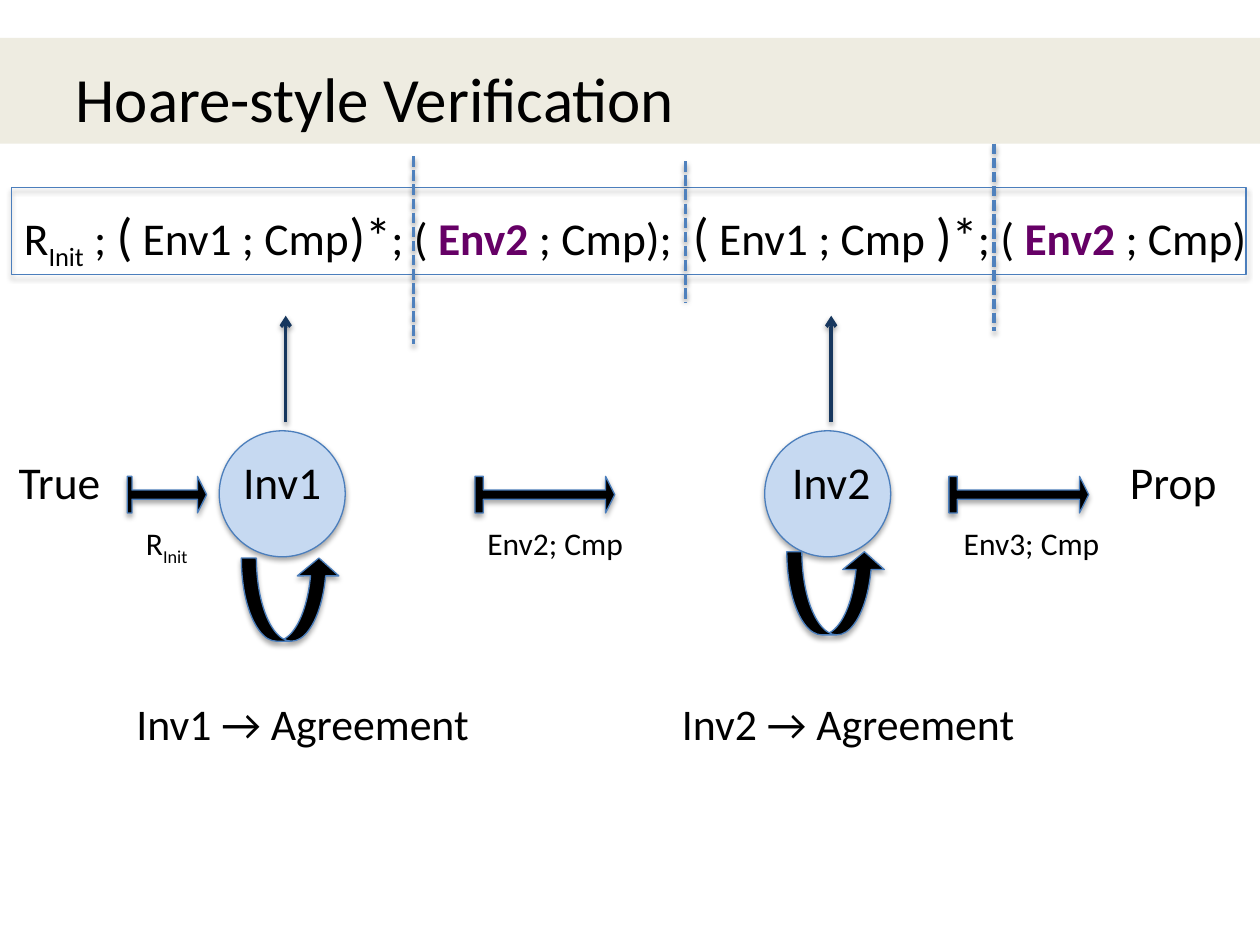
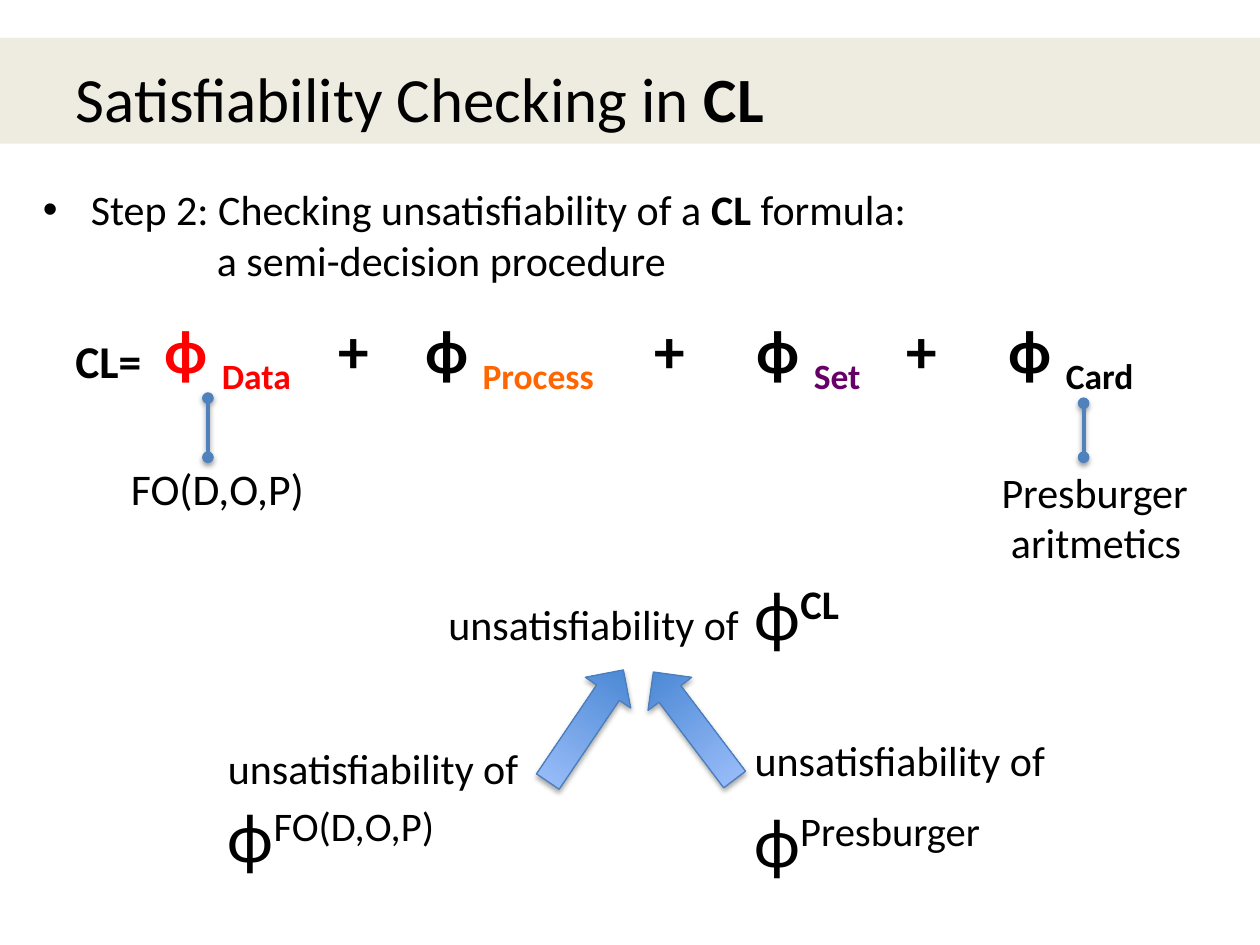
from lxml import etree
from pptx import Presentation
from pptx import util as u
from pptx.dml.color import RGBColor
from pptx.enum import dml, shapes, text
from pptx.oxml import ns

FONT = "Calibri"
BLACK, PURPLE, RED, ORANGE = "000000", "660066", "FF0000", "FF6600"
BAND, OUTLINE, LINK, NAVY, PALE = "EEECE1", "4B7EBC", "4F81BD", "17375E", "C6D9F1"
SHAPE = shapes.MSO_SHAPE


# ---- Shared helpers ----
def rgb(value):
    return RGBColor.from_string(value)


def points(*lengths):
    return [u.Pt(length) for length in lengths]


def place(shape, left, top, width, height):
    shape.left, shape.top, shape.width, shape.height = points(left, top, width, height)


def add_child(parent, tag, **attributes):
    child = etree.SubElement(parent, ns.qn(tag))
    for name, value in attributes.items():
        child.set(name, str(value))
    return child


def add_shadow(shape, opacity=35):
    effects = add_child(shape._element.spPr, "a:effectLst")
    shadow = add_child(effects, "a:outerShdw", blurRad=u.Pt(3.1), dist=u.Pt(1.8),
                       dir=90 * 60000, rotWithShape=0)
    color = add_child(shadow, "a:srgbClr", val=BLACK)
    add_child(color, "a:alpha", val=opacity * 1000)


def write_runs(paragraph, runs, size):
    """Each run is its text, or (text, options); size is the default."""
    for entry in runs:
        words, options = (entry, {}) if isinstance(entry, str) else entry
        run = paragraph.add_run()
        run.text = words
        run.font.name = FONT
        run.font.size = u.Pt(options.get("size", size))
        run.font.bold = options.get("bold", False)
        run.font.color.rgb = rgb(options.get("color", BLACK))
        if "base" in options:
            run._r.get_or_add_rPr().set("baseline", str(options["base"] * 1000))


def add_text(slide, box, paragraphs, size, wrap=False):
    shape = slide.shapes.add_textbox(*points(*box))
    frame = shape.text_frame
    frame.word_wrap = wrap
    frame.auto_size = text.MSO_AUTO_SIZE.SHAPE_TO_FIT_TEXT
    for index, runs in enumerate(paragraphs):
        paragraph = frame.add_paragraph() if index else frame.paragraphs[0]
        write_runs(paragraph, runs, size)
    return shape


def add_block(slide, kind, box, fill=None, adjustments=()):
    shape = slide.shapes.add_shape(kind, *points(*box))
    for index, value in enumerate(adjustments):
        shape.adjustments[index] = value
    if fill is None:
        shape.fill.background()
    elif isinstance(fill, str):
        shape.fill.solid()
        shape.fill.fore_color.rgb = rgb(fill)
    else:
        shape.fill.gradient()
        shape.fill.gradient_angle = 90
        for stop, color in zip(shape.fill.gradient_stops, fill):
            stop.color.rgb = rgb(color)
    shape.line.color.rgb = rgb(OUTLINE)
    shape.line.width = u.Pt(0.75)
    add_shadow(shape)
    return shape


def add_vertical(slide, x, start, end, color=LINK, width=2, dashed=False, head=None, tail=None):
    line = slide.shapes.add_connector(shapes.MSO_CONNECTOR.STRAIGHT, *points(x, start, x, end))
    line.line.color.rgb = rgb(color)
    line.line.width = u.Pt(width)
    if dashed:
        line.line.dash_style = dml.MSO_LINE.SQUARE_DOT
    outline = line.line._get_or_add_ln()
    for tag, kind in (("a:headEnd", head), ("a:tailEnd", tail)):
        if kind:
            add_child(outline, tag, type=kind)
    add_shadow(line, 38)


def add_titled_slide(presentation, layout, runs):
    slide = presentation.slides.add_slide(presentation.slide_layouts[layout])
    title = slide.shapes.title
    place(title, 0, 21.6, 720, 60.5)
    title.fill.solid()
    title.fill.fore_color.rgb = rgb(BAND)
    frame = title.text_frame
    frame.auto_size = text.MSO_AUTO_SIZE.NONE
    frame.vertical_anchor = text.MSO_ANCHOR.MIDDLE
    frame.margin_left, frame.margin_top, frame.margin_bottom = points(43.2, 10.8, 3.6)
    frame.paragraphs[0].alignment = text.PP_ALIGN.LEFT
    write_runs(frame.paragraphs[0], runs, 36)
    return slide


# ---- Verification slide ----
def add_trace(slide, left, top):
    """Framed program trace, cut into phases by dashed lines."""
    big = {"size": 30}
    env2 = ("Env2", {"color": PURPLE, "bold": True})
    add_text(slide, (left, top + 5, 389.5, 43.9),
             [["R", ("Init", {"base": -25}), " ; ", ("(", big), " Env1 ; Cmp", (")*", big),
               "; ( ", env2, " ; Cmp);"]], 26)
    add_text(slide, (left + 382.3, top + 5, 334, 43.9),
             [[("(", big), " Env1 ; Cmp ", (")*", big), "; ( ", env2, " ; Cmp)"]], 26)
    add_block(slide, SHAPE.RECTANGLE, (left, top, 705.6, 49.7))
    for x, start, end in ((229.7, -18, 89.3), (385.2, -15.1, 65.5), (561.6, -25.2, 82.1)):
        add_vertical(slide, left + x, top + start, top + end, dashed=True)


def add_state(slide, left, top, name, label_left, loop_top):
    """Invariant circle with its self-loop, trace arrow and consequence."""
    add_block(slide, SHAPE.OVAL, (left, top, 72, 72), PALE)
    add_text(slide, (left + label_left, top + 10, 59.8, 38.9), [[name]], 26)
    add_vertical(slide, left + 38, top - 5, top - 65.8, NAVY, tail="arrow")
    add_block(slide, SHAPE.CURVED_UP_ARROW, (left + 12.6, top + loop_top, 56.2, 47.5),
              BLACK, (0.181, 0.5, 0.215))
    add_text(slide, (left - 54.4, top + 148.4, 209.5, 37.4), [[f"{name} → Agreement"]], 25)


def add_transition(slide, left, top, width, runs, label_width, label_shift=0):
    add_block(slide, SHAPE.RIGHT_ARROW_CALLOUT, (left, top, width, 20.9),
              BLACK, (0.25, 0.5, 0.25, 0.06))
    add_text(slide, (left + label_shift, top + 23.7, label_width, 28.8), [runs], 18)


def build_verification(presentation):
    slide = add_titled_slide(presentation, 5, ["Hoare-style Verification"])
    add_trace(slide, 6.5, 107.3)
    top = 246.2
    add_state(slide, 125.3, top, "Inv1", 6.5, 72.7)
    add_state(slide, 437, top, "Inv2", 8.6, 69.1)
    for left, word in ((3.6, "True"), (638.6, "Prop")):
        add_text(slide, (left, top + 10, 64.8, 38.9), [[word]], 26, wrap=True)
    add_transition(slide, 72.7, top + 26, 45.4, ["R", ("Init", {"base": -25})], 41, 3.6)
    add_transition(slide, 271.4, top + 26, 79.9, ["Env2; Cmp"], 92.9)
    add_transition(slide, 542.2, top + 26, 79.9, ["Env3; Cmp"], 92.9, 1.4)


# ---- Satisfiability slide ----
def fill_step(body, left, top):
    place(body, left, top, 528.5, 65.5)
    frame = body.text_frame
    frame.auto_size = text.MSO_AUTO_SIZE.NONE
    lines = ((["Step 2: Checking unsatisfiability of a ", ("CL ", {"bold": True}), "formula:"],
              27.4, -27.4),
             (["a semi-decision procedure"], 99.4, 0))
    for index, (runs, margin, indent) in enumerate(lines):
        paragraph = frame.add_paragraph() if index else frame.paragraphs[0]
        paragraph.space_before = u.Pt(0)
        write_runs(paragraph, runs, 24)
        properties = paragraph._p.get_or_add_pPr()
        properties.set("marL", str(u.Pt(margin)))
        properties.set("indent", str(u.Pt(indent)))
        if not indent:
            add_child(properties, "a:buNone")


def add_formula(slide, left, top):
    """Sum of sub-formulas, set out with tab stops."""
    add_text(slide, (left, top + 11.5, 52.6, 38.9), [[("CL=", {"bold": True})]], 26)
    runs = []
    terms = (("Data", RED, RED), ("Process", BLACK, ORANGE),
             ("Set", BLACK, PURPLE), ("Card", BLACK, BLACK))
    for index, (name, color, name_color) in enumerate(terms):
        lead = "\t+\tϕ " if index else "ϕ "
        runs += [(lead, {"color": color, "bold": True}),
                 (name, {"color": name_color, "bold": True, "base": -25})]
    box = add_text(slide, (left + 51.1, top, 605.5, 49.7), [runs], 35, wrap=True)
    stops = add_child(box.text_frame.paragraphs[0]._p.get_or_add_pPr(), "a:tabLst")
    for position in (99, 149, 279.6, 338.3, 423.6, 482.3):
        add_child(stops, "a:tab", pos=u.Pt(position), algn="l")


def add_theories(slide, left, top):
    """Theory that decides the first and the last sub-formula."""
    add_text(slide, (left, top, 115.9, 37.4), [["FO(D,O,P)"]], 25)
    add_text(slide, (left + 497.5, top + 2.2, 123.1, 65.5), [["Presburger"], [" aritmetics"]], 24)
    for x, start in ((51.1, -33.1), (551.5, -30.2)):
        add_vertical(slide, left + x, top + start, top + 0.7, width=2.25, head="oval", tail="oval")


def add_reduction(slide, left, top):
    """Two sufficient conditions pointing to the goal."""
    claim, phi = "unsatisfiability of", ("ϕ", {"size": 40})
    add_text(slide, (left + 126, top, 244.1, 55.4),
             [[claim, (" ϕ", {"size": 40}), ("CL", {"size": 40, "bold": True, "base": 30})]], 24)
    add_text(slide, (left, top + 97.9, 182.9, 85),
             [[claim], [phi, ("FO(D,O,P)", {"size": 40, "base": 30})]], 24)
    add_text(slide, (left + 301, top + 57.6, 182.9, 128.2),
             [[claim, (" ", {"size": 60})], [phi, ("Presburger", {"size": 40, "base": 30})]], 24)
    for x, rotation in ((195.9, 214.1), (257.8, 142.9)):
        arrow = add_block(slide, SHAPE.DOWN_ARROW, (left + x, top + 53.6, 31.3, 77),
                          ("3F80CE", "A4C4FF"))
        arrow.rotation = rotation


def build_satisfiability(presentation):
    slide = add_titled_slide(presentation, 1,
                             ["Satisfiability Checking in ", ("CL", {"bold": True})])
    fill_step(slide.placeholders[1], 17.3, 101.5)
    add_formula(slide, 36, 175)
    add_theories(slide, 67.7, 260.6)
    add_reduction(slide, 123.1, 322.6)


def main():
    presentation = Presentation()
    presentation.slide_width, presentation.slide_height = points(720, 540)
    build_verification(presentation)
    build_satisfiability(presentation)
    presentation.save("out.pptx")


if __name__ == "__main__":
    main()
